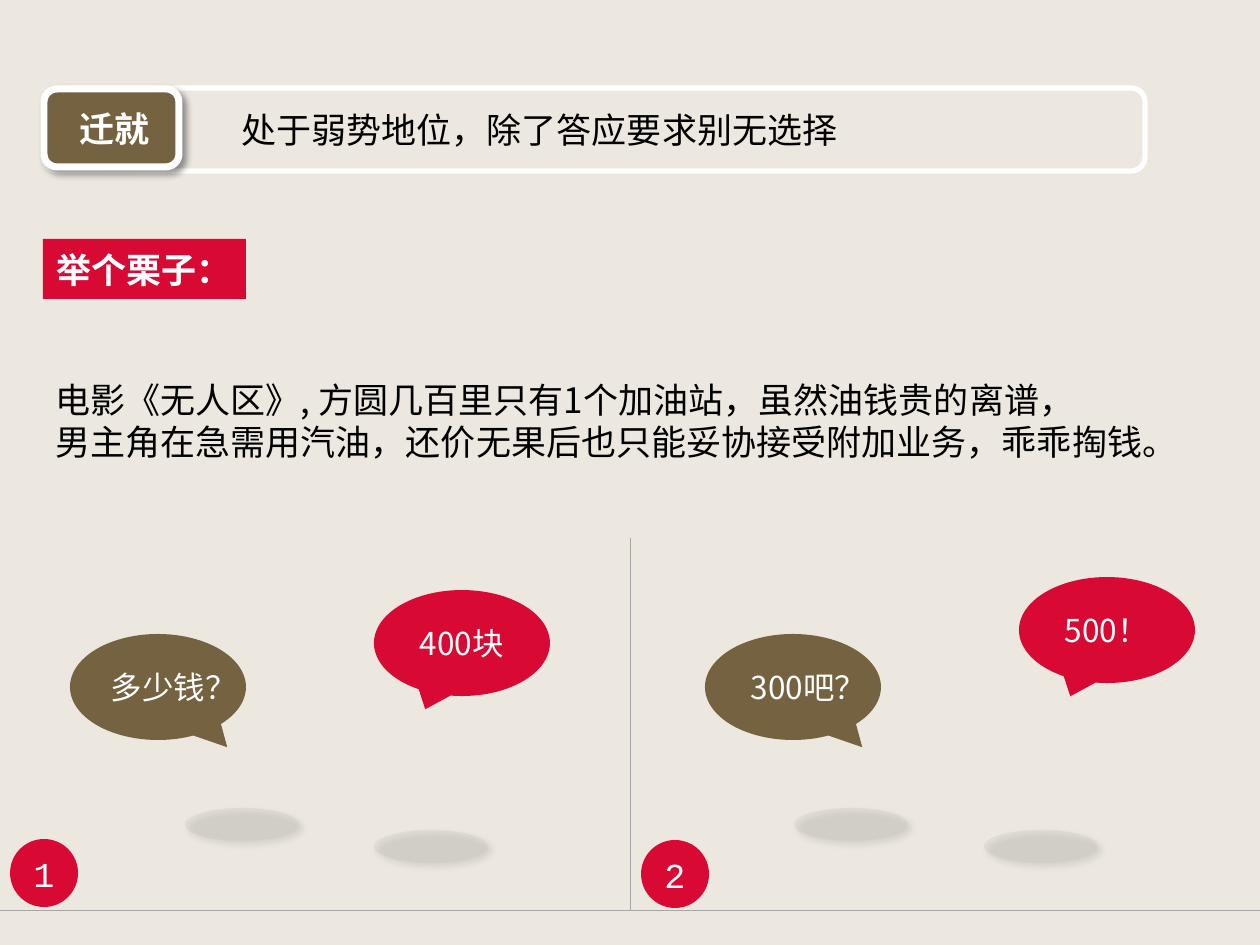
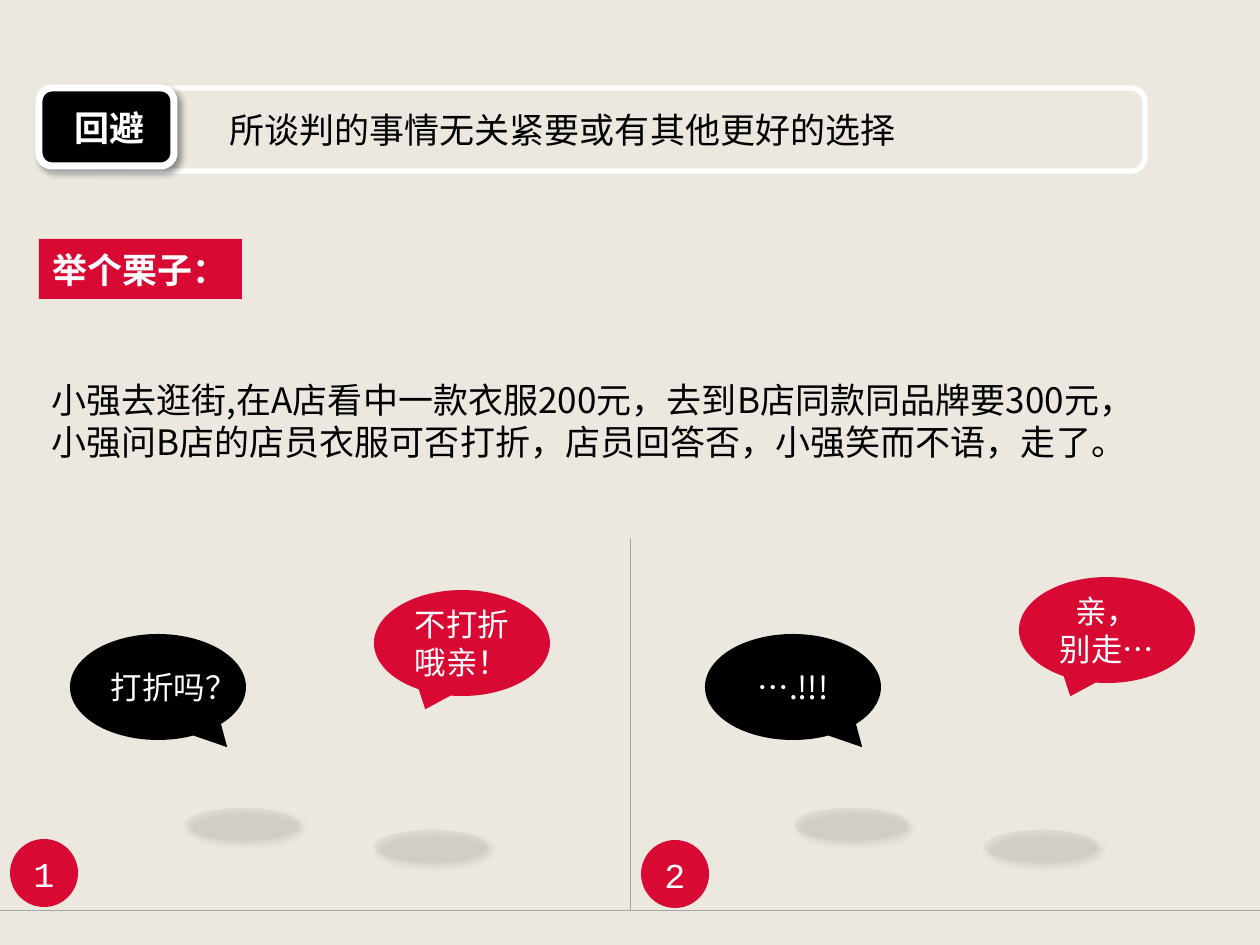
from dataclasses import dataclass

from lxml import etree
from pptx import Presentation
from pptx.dml.color import RGBColor
from pptx.enum.shapes import MSO_CONNECTOR, MSO_SHAPE
from pptx.enum.text import MSO_ANCHOR, MSO_AUTO_SIZE, PP_ALIGN
from pptx.oxml.ns import qn
from pptx.util import Pt

RECTANGLE = MSO_SHAPE.RECTANGLE
ROUNDED = MSO_SHAPE.ROUNDED_RECTANGLE
OVAL = MSO_SHAPE.OVAL
CALLOUT = MSO_SHAPE.OVAL_CALLOUT
STRAIGHT = MSO_CONNECTOR.STRAIGHT
LEFT, CENTER = PP_ALIGN.LEFT, PP_ALIGN.CENTER
MIDDLE = MSO_ANCHOR.MIDDLE
GROW = MSO_AUTO_SIZE.SHAPE_TO_FIT_TEXT

EMU_PER_INCH = 914400
PX_PER_INCH = 126
PAGE_WIDTH, PAGE_HEIGHT = 1260, 945
FLOOR = 910

SAND = RGBColor(0xEC, 0xE8, 0xDF)
RED = RGBColor(0xD8, 0x0A, 0x33)
BROWN = RGBColor(0x74, 0x62, 0x41)
BLACK = RGBColor(0, 0, 0)
WHITE = RGBColor(0xFF, 0xFF, 0xFF)
GREY = RGBColor(0xA6, 0xA6, 0xA6)
SPOT = RGBColor(0xC2, 0xBF, 0xB8)

CHINESE_FONT = "Noto Sans CJK SC"
NUMBER_FONT = "Courier New"

# Left, top of each speech bubble, in the order customer, seller, customer, seller
BUBBLE_PLACES = [(70, 634), (374, 590), (705, 634), (1019, 577)]
CUSTOMER_TAIL = (0.394, 0.568)
SPOT_PLACES = [(185, 808), (374, 830), (794, 808), (984, 830)]
NUMBER_PLACES = [(10, 839), (641, 840)]


@dataclass
class Strategy:
    name: str
    color: RGBColor
    tag_place: tuple
    summary: str
    summary_left: int
    example_left: int
    story: str
    story_width: int
    speeches: list


STRATEGIES = [
    Strategy(
        "迁就", BROWN, (44, 89),
        "处于弱势地位，除了答应要求别无选择", 229, 43,
        "电影《无人区》, 方圆几百里只有1个加油站，虽然油钱贵的离谱，\n"
        "男主角在急需用汽油，还价无果后也只能妥协接受附加业务，乖乖掏钱。",
        1157, ["多少钱？", "400块", "300吧？", "500！"],
    ),
    Strategy(
        "回避", BLACK, (39, 88),
        "所谈判的事情无关紧要或有其他更好的选择", 217, 39,
        "小强去逛街,在A店看中一款衣服200元，去到B店同款同品牌要300元，\n"
        "小强问B店的店员衣服可否打折，店员回答否，小强笑而不语，走了。",
        1125, ["打折吗？", "不打折哦亲！", "….!!!", "亲，\n别走…"],
    ),
]


def px(length):
    return round(length * EMU_PER_INCH / PX_PER_INCH)


def write(shape, text, size, color, font=CHINESE_FONT, bold=False, align=LEFT):
    frame = shape.text_frame
    frame.text = text
    for para in frame.paragraphs:
        para.alignment = align
        for span in para.runs:
            span.font.size = Pt(size)
            span.font.bold = bold
            span.font.color.rgb = color
            span.font.name = font
            east_asian = etree.SubElement(span.font._element, qn("a:ea"))
            east_asian.set("typeface", font)


def add_text(shapes, area, text, color, wrap=False, **style):
    box = shapes.add_textbox(*map(px, area))
    write(box, text, 20, color, **style)
    box.text_frame.word_wrap = wrap
    box.text_frame.auto_size = GROW
    return box


def add_figure(shapes, kind, area, fill=None, outline=0):
    """Add a preset shape; outline is the width in points of a white border."""
    figure = shapes.add_shape(kind, *map(px, area))
    figure.shadow.inherit = False
    if fill is None:
        figure.fill.background()
    else:
        figure.fill.solid()
        figure.fill.fore_color.rgb = fill
    if outline:
        figure.line.color.rgb = WHITE
        figure.line.width = Pt(outline)
    else:
        figure.line.fill.background()
    return figure


def set_alpha(color_element, percent):
    etree.SubElement(color_element, qn("a:alpha")).set("val", str(percent * 1000))


def cast_shadow(figure):
    effects = figure.element.spPr.find(qn("a:effectLst"))
    shadow = etree.SubElement(
        effects, qn("a:outerShdw"), blurRad=str(Pt(4)), dist=str(Pt(3)),
        dir="2700000", algn="tl", rotWithShape="0")
    set_alpha(etree.SubElement(shadow, qn("a:srgbClr"), val=str(BLACK)), 40)


def add_rule(page, start, end):
    rule = page.shapes.add_connector(STRAIGHT, *map(px, start + end))
    rule.line.color.rgb = GREY
    rule.line.width = Pt(0.5)
    etree.SubElement(rule.element.spPr, qn("a:effectLst"))


def add_example_heading(page, left):
    shapes = page.shapes.add_group_shape().shapes
    add_figure(shapes, RECTANGLE, (left, 239, 203, 60), RED)
    add_text(shapes, (left + 1, 242, 202, 55), "举个栗子：", WHITE, bold=True)


def add_tag(page, place, name, color):
    left, top = place
    shapes = page.shapes.add_group_shape().shapes
    cast_shadow(add_figure(shapes, ROUNDED, (left, top, 135, 78), color, 4))
    add_text(shapes, (left + 23, top + 12, 96, 55), name, WHITE,
             bold=True, align=CENTER)


def add_bubble(page, place, text, color, tail=None):
    bubble = add_figure(page.shapes, CALLOUT, (*place, 176, 106), color)
    if tail:
        bubble.adjustments[0], bubble.adjustments[1] = tail
    bubble.text_frame.vertical_anchor = MIDDLE
    write(bubble, text, 18, WHITE, align=CENTER)


def add_floor_spot(page, place):
    spot = add_figure(page.shapes, OVAL, (*place, 114, 33), SPOT)
    set_alpha(spot.element.spPr.find(qn("a:solidFill"))[0], 23)
    cast_shadow(spot)


def add_scene_number(page, place, number):
    disc = add_figure(page.shapes, OVAL, (*place, 68, 68), RED)
    disc.text_frame.vertical_anchor = MIDDLE
    write(disc, str(number), 20, WHITE, font=NUMBER_FONT, align=CENTER)


def add_scenes(page, strategy):
    for index, (place, speech) in enumerate(zip(BUBBLE_PLACES, strategy.speeches)):
        if index % 2 == 0:
            add_bubble(page, place, speech, strategy.color, CUSTOMER_TAIL)
        else:
            add_bubble(page, place, speech, RED)
    for place in SPOT_PLACES:
        add_floor_spot(page, place)
    add_rule(page, (630, 538), (630, FLOOR))
    add_rule(page, (PAGE_WIDTH, FLOOR), (0, FLOOR))
    for number, place in enumerate(NUMBER_PLACES, start=1):
        add_scene_number(page, place, number)


def add_strategy_page(deck, strategy):
    page = deck.slides.add_slide(deck.slide_layouts[6])
    page.background.fill.solid()
    page.background.fill.fore_color.rgb = SAND
    add_figure(page.shapes, ROUNDED, (44, 88, 1101, 83), outline=3)
    add_example_heading(page, strategy.example_left)
    add_text(page.shapes, (strategy.example_left, 372, strategy.story_width, 97),
             strategy.story, BLACK, wrap=True)
    add_text(page.shapes, (strategy.summary_left, 102, 697, 55),
             strategy.summary, BLACK)
    add_scenes(page, strategy)
    add_tag(page, strategy.tag_place, strategy.name, strategy.color)


def main():
    deck = Presentation()
    deck.slide_width, deck.slide_height = px(PAGE_WIDTH), px(PAGE_HEIGHT)
    for strategy in STRATEGIES:
        add_strategy_page(deck, strategy)
    deck.save("out.pptx")


if __name__ == "__main__":
    main()
